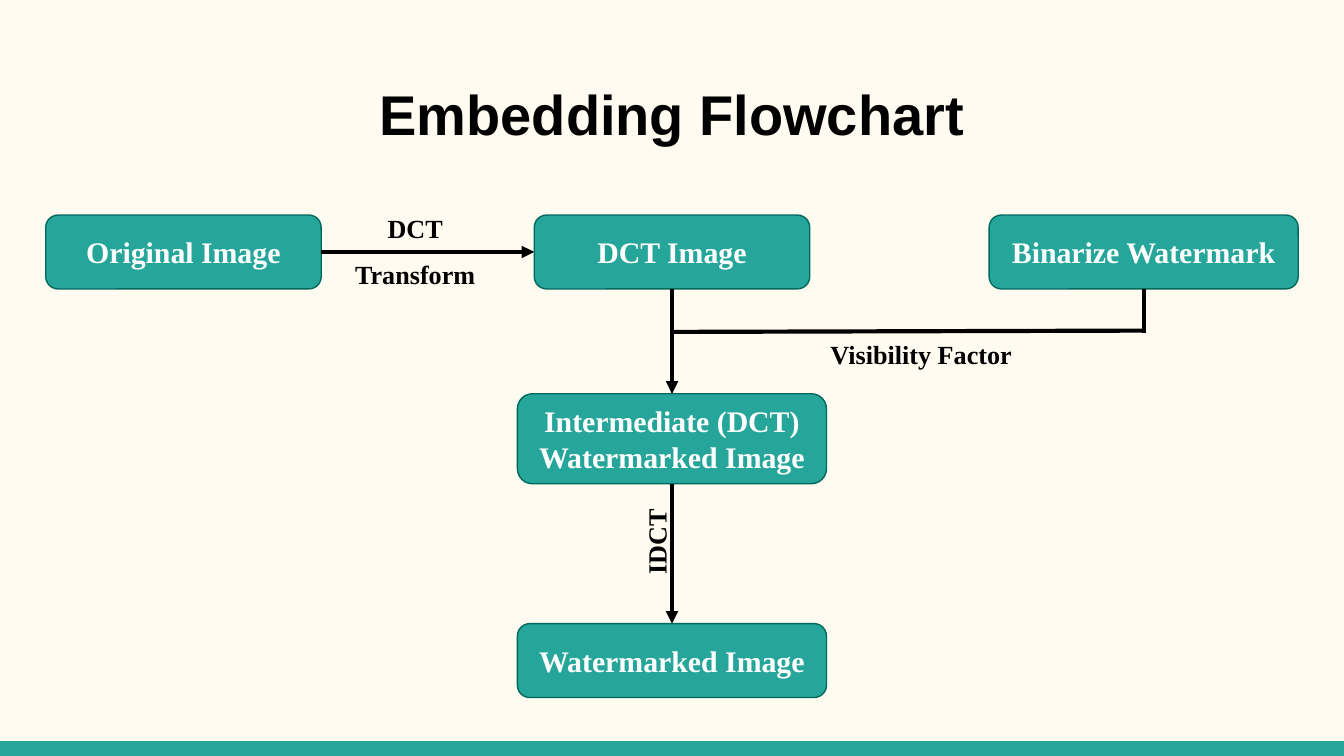
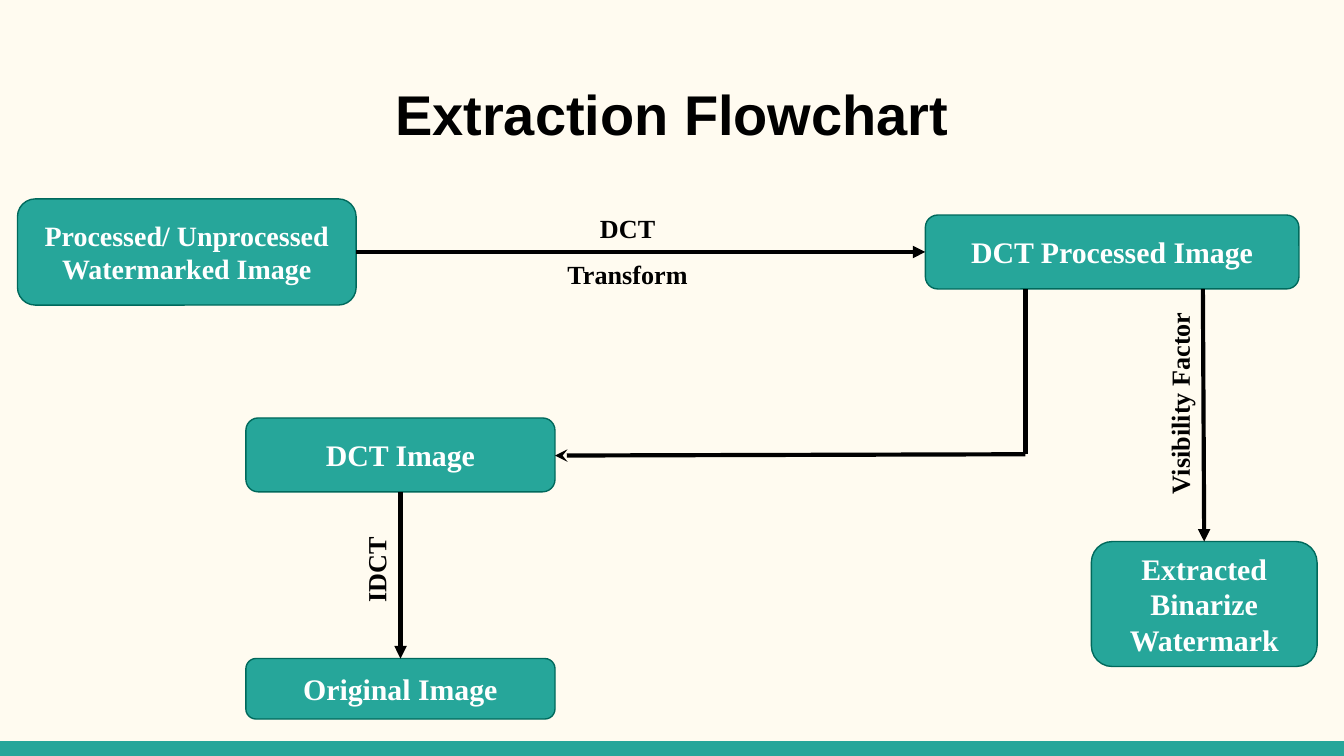
from dataclasses import dataclass
from enum import IntEnum

from lxml.etree import SubElement
from pptx import Presentation
from pptx.dml.color import RGBColor
from pptx.enum.shapes import MSO_CONNECTOR, MSO_SHAPE
from pptx.enum.text import MSO_ANCHOR, PP_ALIGN
from pptx.oxml.ns import qn
from pptx.util import Inches, Pt


@dataclass(frozen=True)
class Theme:
    paper: str = "FFFBF0"
    teal: str = "26A69A"
    edge: str = "00695C"
    ink: str = "000000"
    white: str = "FFFFFF"
    title_font: str = "Arial"
    body_font: str = "Times New Roman"
    title_size: float = 30
    box_size: float = 16
    small_box_size: float = 15
    label_size: float = 14
    edge_width: float = 0.75
    arrow_width: float = 2.25
    corner: float = 0.167


class Side(IntEnum):
    TOP = 0
    LEFT = 1
    BOTTOM = 2
    RIGHT = 3


THEME = Theme()
COLUMNS, ROWS = 100, 56.25
CELL = Inches(0.1)
MARGIN = 3.4
BAND_ROWS = 1.1
BOX_ROWS = 5.5
TOP_ROW = 16
FLOW_ROW = TOP_ROW + BOX_ROWS / 2


def grid(*cells):
    return [round(cell * CELL) for cell in cells]


def color(value):
    return RGBColor.from_string(value)


def write(shape, text, font, size, ink, anchor):
    frame = shape.text_frame
    frame.word_wrap = True
    frame.vertical_anchor = anchor
    frame.margin_left = frame.margin_right = CELL
    frame.margin_top = frame.margin_bottom = CELL
    frame.text = text
    para = frame.paragraphs[0]
    para.alignment = PP_ALIGN.CENTER
    for span in para.runs:
        span.font.name = font
        span.font.size = Pt(size)
        span.font.bold = True
        span.font.color.rgb = color(ink)


def add_panel(page, kind, place):
    panel = page.shapes.add_shape(kind, *grid(*place))
    panel.shadow.inherit = False
    panel.fill.solid()
    panel.fill.fore_color.rgb = color(THEME.teal)
    return panel


def add_page(deck, title):
    page = deck.slides.add_slide(deck.slide_layouts[6])
    page.background.fill.solid()
    page.background.fill.fore_color.rgb = color(THEME.paper)
    band = add_panel(page, MSO_SHAPE.RECTANGLE, (0, ROWS - BAND_ROWS, COLUMNS, BAND_ROWS))
    band.line.fill.background()
    heading = page.shapes.add_textbox(*grid(MARGIN, 4.9, COLUMNS - 2 * MARGIN, 6.7))
    write(heading, title, THEME.title_font, THEME.title_size, THEME.ink, MSO_ANCHOR.TOP)
    return page


def add_box(page, text, column, row, columns, rows=BOX_ROWS, size=THEME.box_size):
    box = add_panel(page, MSO_SHAPE.ROUNDED_RECTANGLE, (column, row, columns, rows))
    box.adjustments[0] = THEME.corner
    box.line.color.rgb = color(THEME.edge)
    box.line.width = Pt(THEME.edge_width)
    write(box, text, THEME.body_font, size, THEME.white, MSO_ANCHOR.MIDDLE)
    return box


def add_label(page, text, column, row, columns, rows=4, turn=0):
    label = page.shapes.add_textbox(*grid(column, row, columns, rows))
    label.rotation = turn
    write(label, text, THEME.body_font, THEME.label_size, THEME.ink, MSO_ANCHOR.TOP)


def add_transform_labels(page, column, columns):
    add_label(page, "DCT", column, 14.8, columns)
    add_label(page, "Transform", column, 18.2, columns, 4.5)


def add_line(page, begin, end, head=None):
    line = page.shapes.add_connector(MSO_CONNECTOR.STRAIGHT, *grid(*begin, *end))
    line.line.color.rgb = color(THEME.ink)
    line.line.width = Pt(THEME.arrow_width)
    properties = line._element.spPr
    if head:
        SubElement(properties.find(qn("a:ln")), qn("a:tailEnd"), type=head)
    SubElement(properties, qn("a:effectLst"))
    return line


def add_flow(page, source, leave, target, enter):
    arrow = add_line(page, (0, 0), (1, 1), "triangle")
    arrow.begin_connect(source, leave)
    arrow.end_connect(target, enter)


def build_embedding(deck):
    page = add_page(deck, "Embedding Flowchart")
    middle = COLUMNS / 2
    narrow, wide = 20.5, 23
    right = COLUMNS - MARGIN - wide
    source = add_box(page, "Original Image", MARGIN, TOP_ROW, narrow)
    transformed = add_box(page, "DCT Image", middle - narrow / 2, TOP_ROW, narrow)
    add_box(page, "Binarize Watermark", right, TOP_ROW, wide)
    mixed = add_box(page, "Intermediate (DCT) Watermarked Image",
                    middle - wide / 2, 29.3, wide, 6.7)
    result = add_box(page, "Watermarked Image", middle - wide / 2, 46.4, wide)

    add_flow(page, source, Side.RIGHT, transformed, Side.LEFT)
    add_flow(page, transformed, Side.BOTTOM, mixed, Side.TOP)
    add_flow(page, mixed, Side.BOTTOM, result, Side.TOP)
    elbow, join_row = right + wide / 2, 24.6
    add_line(page, (elbow, TOP_ROW + BOX_ROWS), (elbow, join_row + 0.2))
    add_line(page, (elbow, join_row), (middle, join_row + 0.1))

    add_transform_labels(page, 24.9, 12)
    add_label(page, "Visibility Factor", 60.6, 24.2, 15.9)
    add_label(page, "IDCT", 44.7, 38.3, 7.9, turn=270)


def build_extraction(deck):
    page = add_page(deck, "Extraction Flowchart")
    left, wide, turn_row = 18.3, 23, 33.8
    source = add_box(page, "Processed/ Unprocessed Watermarked Image",
                     1.3, FLOW_ROW - 3.95, 25.2, 7.9, THEME.small_box_size)
    processed = add_box(page, "DCT Processed Image", 68.85, TOP_ROW, 27.8)
    transformed = add_box(page, "DCT Image", left, 31.1, wide)
    extracted_column, extracted_row, extracted_columns = 81.2, 40.3, 16.8
    add_box(page, "Extracted Binarize Watermark",
            extracted_column, extracted_row, extracted_columns, 9.3)
    restored = add_box(page, "Original Image", left, 49, wide, 4.5)

    add_flow(page, source, Side.RIGHT, processed, Side.LEFT)
    add_flow(page, transformed, Side.BOTTOM, restored, Side.TOP)
    elbow, exit_row = 76.3, TOP_ROW + BOX_ROWS
    add_line(page, (elbow, exit_row), (elbow, turn_row))
    add_line(page, (elbow, turn_row), (left + wide, turn_row + 0.1), "stealth")
    drop = extracted_column + extracted_columns / 2
    add_line(page, (drop - 0.1, exit_row), (drop, extracted_row), "triangle")

    add_transform_labels(page, 26.6, 40.2)
    add_label(page, "Visibility Factor", 79.3, 28, 16.6, turn=270)
    add_label(page, "IDCT", 22.9, 40.4, 9.8, turn=270)


def main():
    deck = Presentation()
    deck.slide_width, deck.slide_height = grid(COLUMNS, ROWS)
    build_embedding(deck)
    build_extraction(deck)
    deck.save("out.pptx")


if __name__ == "__main__":
    main()
